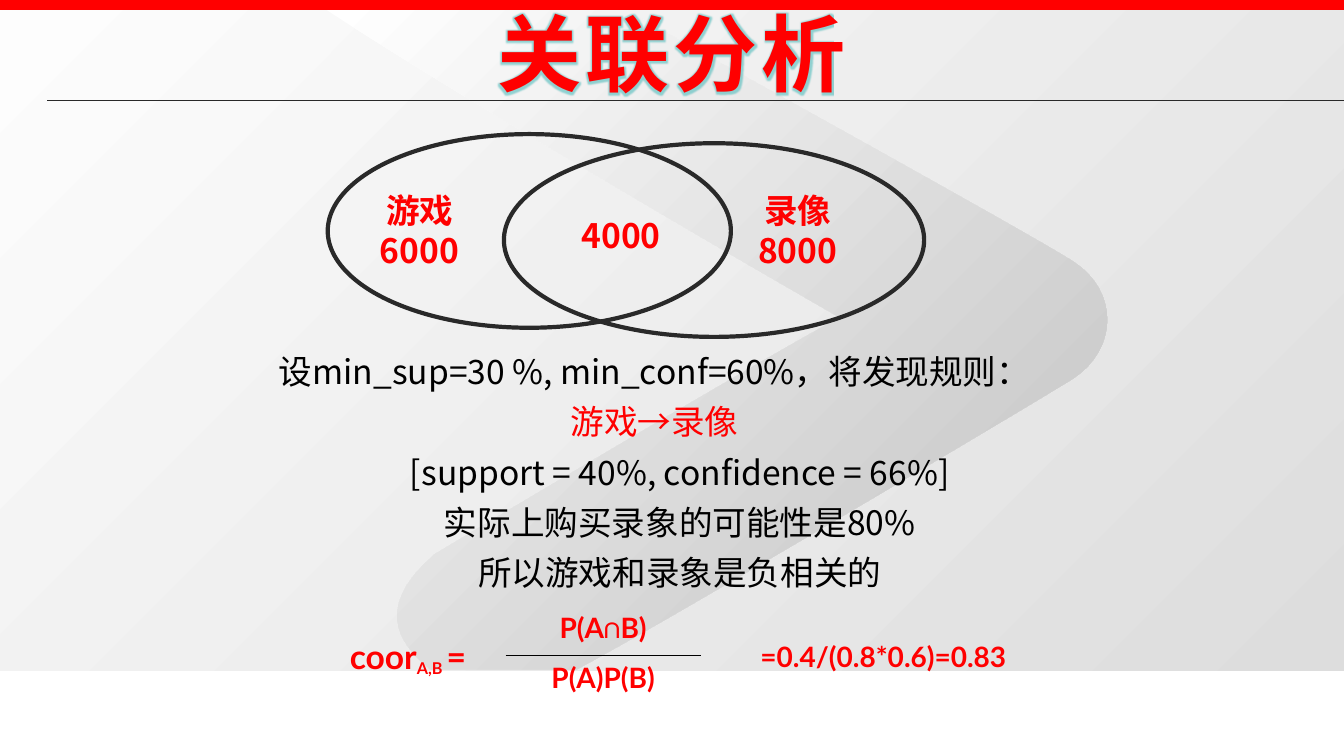
"""Build the association analysis slide with its Venn diagram and formula."""
from dataclasses import dataclass, field
from typing import NamedTuple

import lxml.etree
import pptx
import pptx.dml.color
import pptx.enum.dml
import pptx.enum.shapes
import pptx.enum.text
import pptx.oxml
import pptx.oxml.ns
import pptx.util

Cm = pptx.util.Cm
Pt = pptx.util.Pt
RGBColor = pptx.dml.color.RGBColor
Shapes = pptx.enum.shapes.MSO_SHAPE

RED = RGBColor(0xFF, 0x00, 0x00)
BLACK = RGBColor(0x00, 0x00, 0x00)
CHARCOAL = RGBColor(0x29, 0x29, 0x29)
WHITE = RGBColor(0xFF, 0xFF, 0xFF)
OFF_WHITE = RGBColor(0xFD, 0xFD, 0xFD)
LIGHT_GREY = RGBColor(0xDD, 0xDD, 0xDD)
MID_GREY = RGBColor(0xC0, 0xC0, 0xC0)
TITLE_EDGE = RGBColor(0xFF, 0xF4, 0xF4)
TITLE_GLOW = RGBColor(0x50, 0xBC, 0xBC)

TITLE_FONT = "Noto Sans CJK SC"
BODY_FONT = "Noto Sans CJK JP"
FORMULA_FONT = "Lato"
NAMESPACE = 'xmlns:a="http://schemas.openxmlformats.org/drawingml/2006/main"'


class Area(NamedTuple):
    left: float
    top: float
    width: float
    height: float

    def lengths(self) -> list:
        return [Cm(value) for value in self]


@dataclass
class Span:
    text: str
    size: float = 24
    color: RGBColor = RED
    bold: bool = True
    name: str = BODY_FONT
    baseline: int = 0


@dataclass
class Label:
    area: Area
    lines: list
    format: dict = field(default_factory=dict)


@dataclass
class Entry:
    row: int
    column: int
    spans: list
    ruled: str = ""
    tall: bool = False


SLIDE_WIDTH, SLIDE_HEIGHT = 33.87, 19.05
BACKDROP = Area(0, 0.2, SLIDE_WIDTH, 16.69)
TOP_BAR = Area(0, 0, SLIDE_WIDTH, 0.25)
RULE_LEFT, RULE_TOP = 1.19, 2.54
ELLIPSES = [Area(8.26, 3.38, 10.16, 4.88), Area(12.7, 3.61, 10.59, 4.88)]

CHEVRON_START = (27.03, 9.55)
CHEVRON = [
    [(25.88, 10.26), (16.66, 15.75), (14.53, 16.87)],
    [(10.85, 16.87)],
    [(10.26, 16.38), (9.25, 15.44), (10.95, 13.97)],
    [(15.93, 11), (19.05, 9.17), (21.16, 8)],
    [(14.71, 4.29), (9.88, 1.35), (8.23, 0.25)],
    [(12.01, 0.2), (15.77, 0.25), (15.77, 0.25)],
    [(18.26, 1.65), (25.86, 5.84), (27.03, 6.58)],
    [(28.22, 7.34), (28.17, 8.81), CHEVRON_START],
]
CURVE_STEPS = 16

TITLE = Label(Area(5.08, -0.08, 23.7, 2.82), [Span("关联分析", 60, name=TITLE_FONT)])
LABELS = [
    Label(Area(5.28, 8.46, 22.43, 6.68), [
        Span("设min_sup=30 %, min_conf=60%，将发现规则：", color=BLACK, bold=False),
        Span("游戏→录像", bold=False),
        Span("\t[support = 40%, confidence = 66%]", color=BLACK, bold=False),
        Span("\t实际上购买录象的可能性是80%", color=BLACK, bold=False),
        Span("\t所以游戏和录象是负相关的", color=BLACK, bold=False),
    ], {"line_spacing": 1.25}),
    Label(Area(9.09, 4.65, 2.97, 2.31), [Span("游戏"), Span("6000")]),
    Label(Area(18.62, 4.65, 2.97, 2.31), [Span("录像8000")]),
    Label(Area(14.17, 5.28, 2.97, 1.27), [Span("4000")]),
]

FORMULA = Area(7.82, 15.27, 19.05, 2.51)
FORMULA_COLUMNS = [4.92, 4.92, 9.21]
ENTRIES = [
    Entry(0, 0, [Span("coor", name=FORMULA_FONT),
                 Span("A,B ", 20, name=FORMULA_FONT, baseline=-18000),
                 Span("=", name=FORMULA_FONT)], tall=True),
    Entry(0, 1, [Span("P(A∩B)", 20, name=FORMULA_FONT)], ruled="lnB"),
    Entry(1, 1, [Span("P(A)P(B)", 20, name=FORMULA_FONT)], ruled="lnT"),
    Entry(0, 2, [Span("=0.4/(0.8*0.6)=0.83", 20, name=FORMULA_FONT)], tall=True),
]


def write_span(para, span: Span):
    """Add one formatted run to a paragraph."""
    run = para.add_run()
    run.text = span.text
    values = {"size": Pt(span.size), "bold": span.bold, "name": span.name}
    for key, value in values.items():
        setattr(run.font, key, value)
    run.font.color.rgb = span.color
    properties = run.font._element
    east_asian = lxml.etree.SubElement(properties, pptx.oxml.ns.qn("a:ea"))
    east_asian.set("typeface", span.name)
    if span.baseline:
        properties.set("baseline", str(span.baseline))
    return run


def add_label(page, label: Label):
    """Add a centred text box and return its last run."""
    frame = page.shapes.add_textbox(*label.area.lengths()).text_frame
    frame.word_wrap = True
    frame.auto_size = pptx.enum.text.MSO_AUTO_SIZE.SHAPE_TO_FIT_TEXT
    values = {"alignment": pptx.enum.text.PP_ALIGN.CENTER, **label.format}
    for index, span in enumerate(label.lines):
        para = frame.add_paragraph() if index else frame.paragraphs[0]
        for key, value in values.items():
            setattr(para, key, value)
        run = write_span(para, span)
    return run


def decorate_title(run) -> None:
    """Give the title its letter spacing, pale edge and glow."""
    properties = run.font._element
    properties.set("spc", "300")
    properties.insert(0, pptx.oxml.parse_xml(
        f'<a:ln {NAMESPACE} w="11430"><a:solidFill><a:srgbClr val="{TITLE_EDGE}"/>'
        '</a:solidFill></a:ln>'))
    properties.insert(2, pptx.oxml.parse_xml(
        f'<a:effectLst {NAMESPACE}><a:glow rad="53000"><a:srgbClr val="{TITLE_GLOW}">'
        '<a:alpha val="60000"/></a:srgbClr></a:glow></a:effectLst>'))


def fill_gradient(shape, colors: tuple) -> None:
    """Shade a borderless shape from top left to bottom right."""
    shape.shadow.inherit = False
    shape.line.fill.background()
    shape.fill.gradient()
    shape.fill.gradient_angle = 315
    for stop, color in zip(shape.fill.gradient_stops, colors):
        stop.color.rgb = color


def curve_points(start: tuple, first: tuple, second: tuple, end: tuple) -> list:
    """Sample a cubic curve at equal steps."""
    points = []
    for step in range(1, CURVE_STEPS + 1):
        t = step / CURVE_STEPS
        weights = ((1 - t) ** 3, 3 * t * (1 - t) ** 2, 3 * t ** 2 * (1 - t), t ** 3)
        controls = (start, first, second, end)
        points.append(tuple(sum(w * c[axis] for w, c in zip(weights, controls))
                            for axis in (0, 1)))
    return points


def add_backdrop(page) -> None:
    """Add the shaded panel, chevron, top bar and title rule."""
    panel = page.shapes.add_shape(Shapes.RECTANGLE, *BACKDROP.lengths())
    fill_gradient(panel, (OFF_WHITE, LIGHT_GREY))
    outline = [CHEVRON_START]
    for segment in CHEVRON:
        outline += curve_points(outline[-1], *segment) if len(segment) == 3 else segment
    points = [(Cm(x), Cm(y)) for x, y in outline]
    builder = page.shapes.build_freeform(*points[0])
    builder.add_line_segments(points[1:], close=True)
    fill_gradient(builder.convert_to_shape(), (WHITE, MID_GREY))
    bar = page.shapes.add_shape(Shapes.RECTANGLE, *TOP_BAR.lengths())
    bar.shadow.inherit = False
    bar.fill.solid()
    bar.fill.fore_color.rgb = RED
    bar.line.fill.background()
    rule = page.shapes.add_connector(
        pptx.enum.shapes.MSO_CONNECTOR.STRAIGHT,
        Cm(RULE_LEFT), Cm(RULE_TOP), Cm(SLIDE_WIDTH), Cm(RULE_TOP))
    rule.line.color.rgb = CHARCOAL
    rule.line.width = Pt(1)
    lxml.etree.SubElement(rule._element.spPr, pptx.oxml.ns.qn("a:effectLst"))


def add_ellipse(page, area: Area) -> None:
    """Add one unfilled Venn ellipse."""
    ellipse = page.shapes.add_shape(Shapes.OVAL, *area.lengths())
    ellipse.shadow.inherit = False
    ellipse.fill.background()
    ellipse.line.color.rgb = CHARCOAL
    ellipse.line.width = Pt(3)


def set_borders(cell, ruled: str) -> None:
    """Clear the cell's fill and borders, ruling only the named side."""
    cell.fill.background()
    for index, side in enumerate(("lnL", "lnR", "lnT", "lnB")):
        paint = (f'<a:solidFill><a:srgbClr val="{BLACK}"/></a:solidFill>'
                 if side == ruled else '<a:noFill/>')
        cell._tc.get_or_add_tcPr().insert(index, pptx.oxml.parse_xml(
            f'<a:{side} {NAMESPACE} w="12700">{paint}</a:{side}>'))


def add_formula(page) -> None:
    """Add the correlation formula as a table."""
    table = page.shapes.add_table(2, len(FORMULA_COLUMNS), *FORMULA.lengths()).table
    table.first_row = table.horz_banding = False
    for column, width in zip(table.columns, FORMULA_COLUMNS):
        column.width = Cm(width)
    rules = {(entry.row, entry.column): entry.ruled for entry in ENTRIES}
    for row in range(2):
        for column in range(len(FORMULA_COLUMNS)):
            set_borders(table.cell(row, column), rules.get((row, column), ""))
    for entry in ENTRIES:
        cell = table.cell(entry.row, entry.column)
        if entry.tall:
            cell.merge(table.cell(1, entry.column))
            cell.vertical_anchor = pptx.enum.text.MSO_ANCHOR.MIDDLE
        para = cell.text_frame.paragraphs[0]
        para.alignment = pptx.enum.text.PP_ALIGN.CENTER
        for span in entry.spans:
            write_span(para, span)


def main() -> None:
    """Assemble and save the deck."""
    deck = pptx.Presentation()
    deck.slide_width, deck.slide_height = Cm(SLIDE_WIDTH), Cm(SLIDE_HEIGHT)
    page = deck.slides.add_slide(deck.slide_layouts[6])
    add_backdrop(page)
    decorate_title(add_label(page, TITLE))
    for area in ELLIPSES:
        add_ellipse(page, area)
    for label in LABELS:
        add_label(page, label)
    add_formula(page)
    deck.save("out.pptx")


if __name__ == "__main__":
    main()
